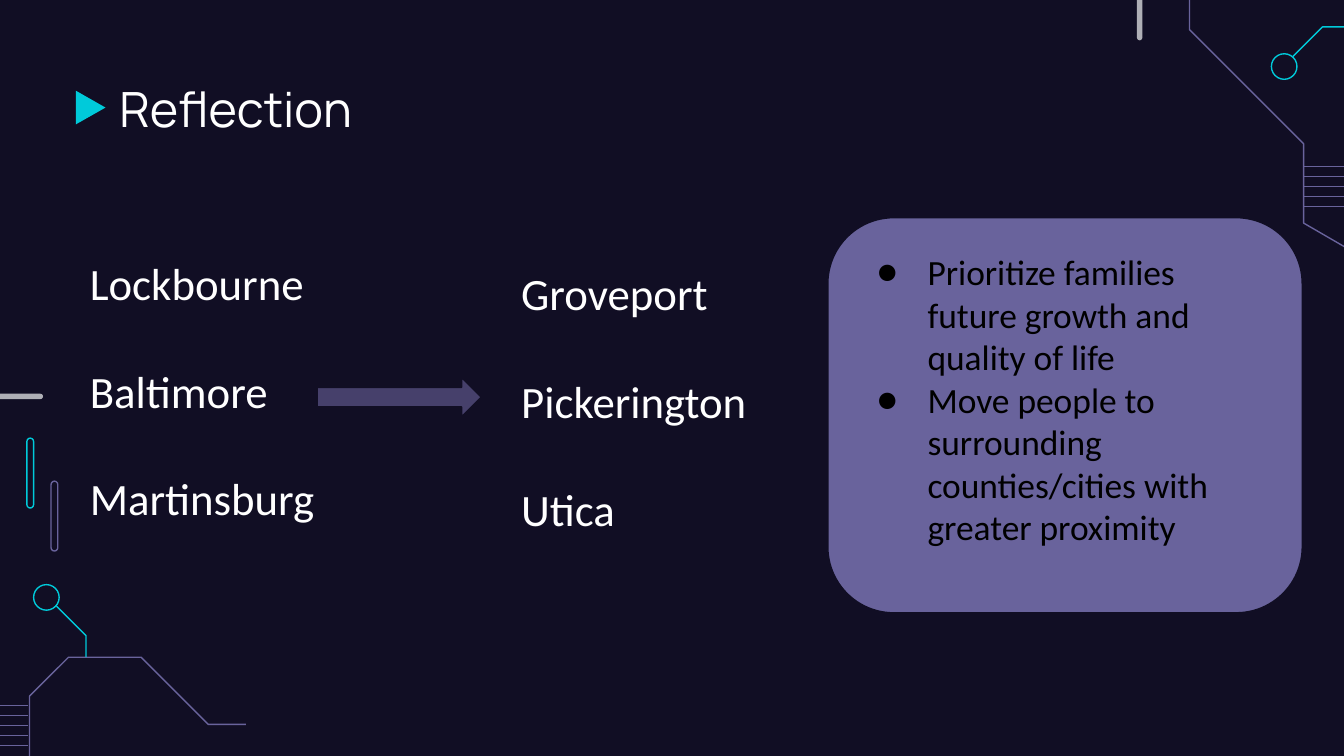
from lxml.etree import SubElement
from pptx import Presentation
from pptx.dml.color import RGBColor
from pptx.enum.shapes import MSO_CONNECTOR, MSO_SHAPE
from pptx.enum.text import MSO_ANCHOR, PP_ALIGN
from pptx.oxml.ns import qn
from pptx.util import Inches, Pt

NAVY = RGBColor(0x11, 0x0E, 0x24)
PURPLE = RGBColor(0x69, 0x63, 0x9C)
INDIGO = RGBColor(0x46, 0x40, 0x6B)
CYAN = RGBColor(0x00, 0xCA, 0xDA)
GREY = RGBColor(0xAF, 0xAF, 0xB6)
WHITE = RGBColor(0xFF, 0xFF, 0xFF)
BLACK = RGBColor(0x00, 0x00, 0x00)


def add_bullet(p, font, color):
    pPr = p._p.get_or_add_pPr()
    pPr.set("marL", str(Inches(0.5)))
    pPr.set("indent", str(Inches(-0.38)))
    clr = SubElement(pPr, qn("a:buClr"))
    SubElement(clr, qn("a:srgbClr")).set("val", str(color))
    SubElement(pPr, qn("a:buFont")).set("typeface", font)
    SubElement(pPr, qn("a:buChar")).set("char", "●")


def write(tf, lines, font="Calibri", size=24, color=WHITE, gap=0,
          bullets=False, anchor=MSO_ANCHOR.TOP, bottom=0.1):
    tf.word_wrap = True
    tf.vertical_anchor = anchor
    tf.margin_left = tf.margin_right = tf.margin_top = Inches(0.1)
    tf.margin_bottom = Inches(bottom)
    for i, line in enumerate(lines):
        p = tf.add_paragraph() if i else tf.paragraphs[0]
        p.alignment = PP_ALIGN.LEFT
        if i and gap:
            p.space_before = Pt(gap)
        if bullets:
            add_bullet(p, font, color)
        r = p.add_run()
        r.text = line
        r.font.name = font
        r.font.size = Pt(size)
        r.font.color.rgb = color


class Deck:
    stroke = Pt(0.75)

    def __init__(self, width):
        self.prs = Presentation()
        self.prs.slide_width = Inches(width)
        self.prs.slide_height = Inches(width * 9 / 16)

    def new_slide(self, color):
        self.s = self.prs.slides.add_slide(self.prs.slide_layouts[6])
        self.s.background.fill.solid()
        self.s.background.fill.fore_color.rgb = color

    def paint(self, sp, fill, line):
        sp.shadow.inherit = False
        if fill is None:
            sp.fill.background()
        else:
            sp.fill.solid()
            sp.fill.fore_color.rgb = fill
        if line is None:
            sp.line.fill.background()
        else:
            sp.line.color.rgb = line
            sp.line.width = self.stroke
        return sp

    def shape(self, kind, x, y, w, h, fill=None, line=None, adj=(), rotation=0):
        sp = self.s.shapes.add_shape(kind, Inches(x), Inches(y), Inches(w), Inches(h))
        for i, value in enumerate(adj):
            sp.adjustments[i] = value
        sp.rotation = rotation
        return self.paint(sp, fill, line)

    def pill(self, x, y, w, h, **style):
        return self.shape(MSO_SHAPE.ROUNDED_RECTANGLE, x, y, w, h, adj=(0.5,), **style)

    def trace(self, points, color):
        (x, y), *rest = [(Inches(px), Inches(py)) for px, py in points]
        builder = self.s.shapes.build_freeform(x, y)
        builder.add_line_segments(rest, close=False)
        return self.paint(builder.convert_to_shape(), None, color)

    def line(self, x1, y1, x2, y2, color):
        c = self.s.shapes.add_connector(MSO_CONNECTOR.STRAIGHT, Inches(x1), Inches(y1),
                                        Inches(x2), Inches(y2))
        c.line.color.rgb = color
        c.line.width = self.stroke
        SubElement(c._element.spPr, qn("a:effectLst"))

    def text(self, x, y, w, h, lines, **style):
        sp = self.s.shapes.add_textbox(Inches(x), Inches(y), Inches(w), Inches(h))
        write(sp.text_frame, lines, **style)


def main():
    deck = Deck(10)
    deck.new_slide(NAVY)

    for x, y, color in [(0.2, 3.26, CYAN), (0.38, 3.58, PURPLE)]:
        deck.pill(x, y, 0.05, 0.52, line=color)

    for x, y in [(9.7, 1.24), (-0.85, 5.25)]:
        for i in range(5):
            stripe_y = y + i * 0.074
            deck.line(x, stripe_y, x + 1.06, stripe_y, PURPLE)

    deck.trace([(8.85, -0.36), (8.85, 0.22), (9.7, 1.07), (9.7, 1.66),
                (10.46, 2.1), (10.41, 2.19)], PURPLE)
    deck.trace([(9.62, 0.42), (9.84, 0.2), (10, 0.2)], CYAN)
    deck.trace([(1.83, 5.39), (1.55, 5.39), (1.05, 4.89), (0.51, 4.89),
                (0.22, 5.18), (0.22, 5.84), (-1.29, 5.84)], PURPLE)
    deck.trace([(0.42, 4.51), (0.64, 4.73), (0.64, 4.89)], CYAN)
    for x, y in [(9.46, 0.4), (0.25, 4.35)]:
        deck.shape(MSO_SHAPE.OVAL, x, y, 0.19, 0.19, line=CYAN)

    deck.pill(8.46, -0.18, 0.04, 0.48, fill=GREY)
    deck.pill(-0.16, 2.93, 0.48, 0.04, fill=GREY)

    deck.shape(MSO_SHAPE.FLOWCHART_MERGE, 0.55, 0.69, 0.25, 0.22, fill=CYAN, rotation=270)
    deck.text(0.79, 0.49, 10.2, 1.04, ["Reflection"], font="Manrope", size=26)

    deck.text(0.57, 1.8, 2.19, 2.41, ["Lockbourne", "Baltimore", "Martinsburg"], gap=29)
    deck.text(3.78, 1.88, 2.19, 2.41, ["Groveport", "Pickerington", "Utica"], gap=29)
    deck.shape(MSO_SHAPE.RIGHT_ARROW, 2.36, 2.81, 1.22, 0.29, fill=INDIGO, line=NAVY)

    card = deck.shape(MSO_SHAPE.ROUNDED_RECTANGLE, 6.16, 1.62, 3.53, 2.94,
                      fill=PURPLE, line=NAVY, adj=(0.167,))
    write(card.text_frame,
          ["Prioritize families future growth and quality of life",
           "Move people to surrounding counties/cities with greater proximity"],
          size=19, color=BLACK, bullets=True, anchor=MSO_ANCHOR.MIDDLE, bottom=0.34)

    deck.prs.save("out.pptx")


if __name__ == "__main__":
    main()
